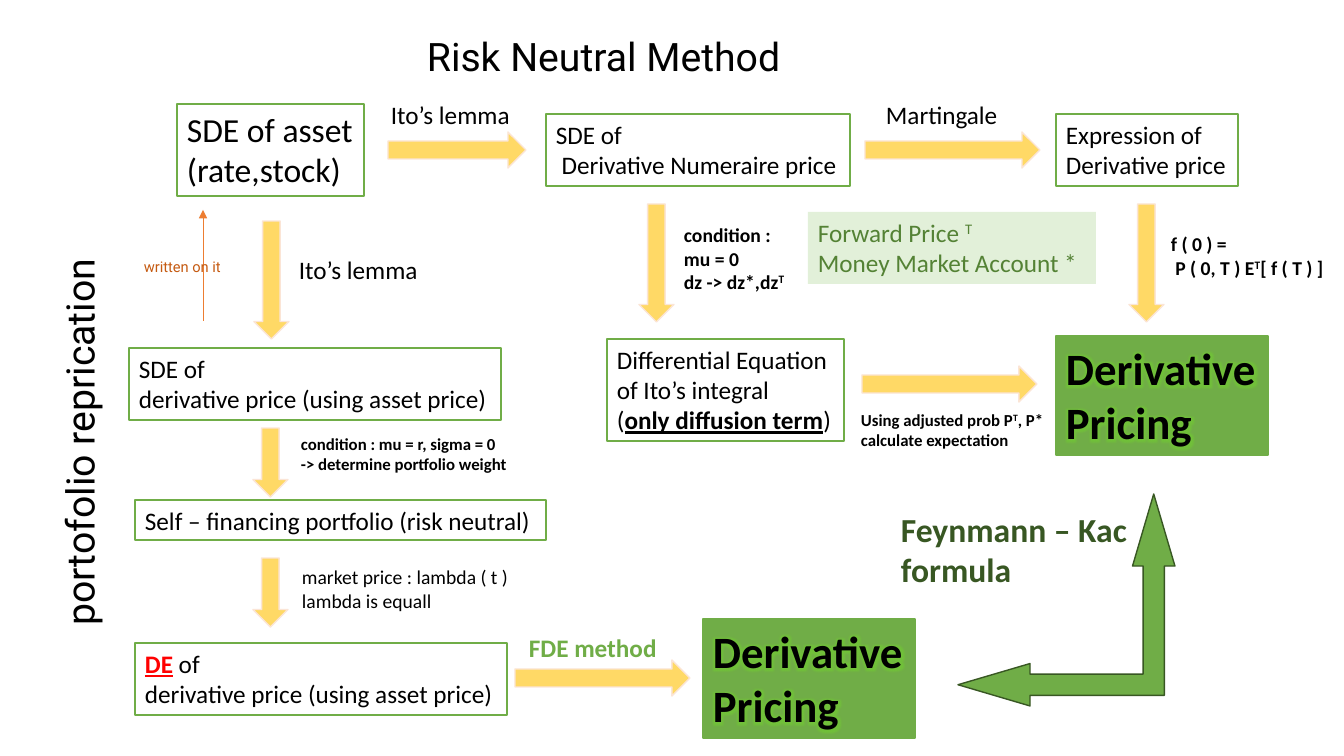
"""Build the flow diagram that compares two routes to a derivative price."""
from dataclasses import dataclass

from lxml.etree import SubElement
from pptx import Presentation
from pptx.dml.color import RGBColor
from pptx.enum.shapes import MSO_CONNECTOR as Link, MSO_SHAPE as Shape
from pptx.enum.text import MSO_ANCHOR as Anchor, MSO_AUTO_SIZE as AutoSize, PP_ALIGN as Align
from pptx.oxml.ns import qn
from pptx.util import Pt

SCALE = 914400 / 100.8
COLORS = {
    "black": "000000", "white": "FFFFFF", "red": "FF0000", "green": "70AD47",
    "pale": "E2F0D9", "leaf": "548235", "forest": "385723", "gold": "FFD966",
    "peach": "FBE5D6", "orange": "ED7D31", "rust": "C55A11", "glow": "72C13A",
}


@dataclass(frozen=True)
class Style:
    size: float
    color: str = "black"
    bold: bool = False
    font: str = "Calibri"
    glow: bool = False


@dataclass(frozen=True)
class Box:
    left: int
    top: int
    width: int
    height: int
    text: str
    style: Style
    fill: str = ""
    line: str = ""
    rotation: int = 0


@dataclass(frozen=True)
class Arrow:
    kind: Shape
    left: int
    top: int
    length: int


@dataclass(frozen=True)
class Mark:
    color: str = ""
    underline: bool = False
    baseline: int = 0


BODY, LARGE = Style(18), Style(24)
NOTE, SMALL_NOTE = Style(14, bold=True), Style(12, bold=True)
HEADING = Style(28, font="Roboto")
GOAL = Style(32, bold=True, glow=True)
GOAL_TEXT = "Derivative\nPricing"

MARKS = {
    "T": Mark(baseline=30000),
    "DE": Mark(color="red", underline=True),
    "only diffusion term": Mark(underline=True),
}

STEPS = [
    Box(177, 104, 187, 92, "SDE of asset\n(rate,stock)", LARGE, "white", "green"),
    Box(129, 348, 372, 72, "SDE of\nderivative price (using asset price)", BODY, "white", "green"),
    Box(135, 500, 411, 40, "Self – financing portfolio (risk neutral)", BODY, "white", "green"),
    Box(135, 643, 372, 72, "|DE| of\nderivative price (using asset price)", BODY, "white", "green"),
    Box(546, 114, 304, 72, "SDE of\n Derivative Numeraire price", BODY, "white", "green"),
    Box(1056, 114, 182, 72, "Expression of \nDerivative price", BODY, "white", "green"),
    Box(607, 339, 237, 102, "Differential Equation\nof Ito’s integral\n(|only diffusion term|)",
        BODY, "white", "green"),
    Box(808, 212, 288, 72, "Forward Price |T\nMoney Market Account * ", Style(18, "leaf"), "pale"),
    Box(1056, 336, 212, 119, GOAL_TEXT, GOAL, "green", "green"),
    Box(703, 619, 212, 119, GOAL_TEXT, GOAL, "green", "green"),
]

LABELS = [
    Box(417, 27, 457, 57, "Risk Neutral Method", HEADING),
    Box(-161, 367, 480, 57, "portofolio reprication", HEADING, rotation=270),
    Box(289, 249, 140, 40, "Ito’s lemma", BODY),
    Box(381, 94, 140, 40, "Ito’s lemma", BODY),
    Box(876, 94, 133, 40, "Martingale", BODY),
    Box(134, 253, 122, 28, "written on it ", Style(10.5, "rust", font="Roboto")),
    Box(291, 429, 230, 50, "condition : mu = r, sigma = 0\n-> determine portfolio weight", SMALL_NOTE),
    Box(292, 560, 228, 57, "market price : lambda ( t )\nlambda is equall", Style(14)),
    Box(674, 218, 122, 82, "condition :\nmu = 0\ndz -> dz*,dz|T", NOTE),
    Box(519, 627, 155, 40, "FDE method ", Style(18, "green", True)),
    Box(851, 405, 205, 50, "Using adjusted prob P|T|, P*\ncalculate expectation ", SMALL_NOTE),
    Box(1161, 227, 174, 57, "f ( 0 ) =\n P ( 0, T ) E|T|[ f ( T ) ]", NOTE),
    Box(891, 504, 256, 92, "Feynmann – Kac \nformula", Style(24, "forest", True)),
]

ARROWS = [
    Arrow(Shape.DOWN_ARROW, 254, 221, 118),
    Arrow(Shape.DOWN_ARROW, 253, 428, 69),
    Arrow(Shape.DOWN_ARROW, 253, 558, 69),
    Arrow(Shape.DOWN_ARROW, 639, 204, 118),
    Arrow(Shape.DOWN_ARROW, 1129, 204, 118),
    Arrow(Shape.RIGHT_ARROW, 388, 132, 138),
    Arrow(Shape.RIGHT_ARROW, 865, 132, 175),
    Arrow(Shape.RIGHT_ARROW, 862, 366, 175),
    Arrow(Shape.RIGHT_ARROW, 515, 660, 175),
]


def emu(*pixels: int) -> list[int]:
    return [round(value * SCALE) for value in pixels]


def rgb(name: str) -> RGBColor:
    return RGBColor.from_string(COLORS[name])


def add_solid(page, kind: Shape, area: list[int], fill: str, line: str):
    shape = page.shapes.add_shape(kind, *area)
    shape.shadow.inherit = False
    shape.fill.solid()
    shape.fill.fore_color.rgb = rgb(fill)
    if line:
        shape.line.color.rgb = rgb(line)
        shape.line.width = Pt(1)
    else:
        shape.line.fill.background()
    return shape


def add_glow(span) -> None:
    effects = SubElement(span.font._element, qn("a:effectLst"))
    glow = SubElement(effects, qn("a:glow"), rad="101600")
    SubElement(glow, qn("a:srgbClr"), val=COLORS["glow"])
    span.font._element.find(qn("a:solidFill")).addnext(effects)


def format_span(span, style: Style) -> None:
    mark = MARKS.get(span.text, Mark())
    span.font.size = Pt(style.size)
    span.font.name = style.font
    span.font.bold = style.bold or mark.underline
    span.font.color.rgb = rgb(mark.color or style.color)
    if mark.underline:
        span.font.underline = True
    if mark.baseline:
        span.font._element.set("baseline", str(mark.baseline))
    if style.glow:
        add_glow(span)


def add_box(page, box: Box) -> None:
    area = emu(box.left, box.top, box.width, box.height)
    if box.fill:
        shape = add_solid(page, Shape.RECTANGLE, area, box.fill, box.line)
    else:
        shape = page.shapes.add_textbox(*area)
    shape.rotation = box.rotation
    frame = shape.text_frame
    frame.text = box.text.replace("|", "")
    frame.word_wrap = False
    frame.auto_size = AutoSize.SHAPE_TO_FIT_TEXT
    frame.vertical_anchor = Anchor.TOP
    for para, line in zip(frame.paragraphs, box.text.split("\n")):
        para.alignment = Align.LEFT
        first, *others = [part for part in line.split("|") if part]
        para.text = first
        for part in others:
            para.add_run().text = part
        for span in para.runs:
            format_span(span, box.style)


def add_arrow(page, arrow: Arrow) -> None:
    down = arrow.kind == Shape.DOWN_ARROW
    size = (35, arrow.length) if down else (arrow.length, 36)
    add_solid(page, arrow.kind, emu(arrow.left, arrow.top, *size), "gold", "peach")


def add_written_on_link(page) -> None:
    link = page.shapes.add_connector(Link.STRAIGHT, *emu(203, 321, 203, 210))
    link.line.color.rgb = rgb("orange")
    link.line.width = Pt(0.5)
    SubElement(link.line._get_or_add_ln(), qn("a:tailEnd"), type="triangle")
    SubElement(link._element.spPr, qn("a:effectLst"))


def add_theorem_arrow(page) -> None:
    arrow = add_solid(page, Shape.LEFT_UP_ARROW, emu(958, 494, 217, 212), "green", "forest")
    for index, value in enumerate((0.1, 0.1, 0.34)):
        arrow.adjustments[index] = value


def build() -> None:
    deck = Presentation()
    deck.slide_width, deck.slide_height = emu(1344, 756)
    page = deck.slides.add_slide(deck.slide_layouts[6])
    for arrow in ARROWS:
        add_arrow(page, arrow)
    add_written_on_link(page)
    add_theorem_arrow(page)
    for box in STEPS + LABELS:
        add_box(page, box)
    deck.save("out.pptx")


build()
